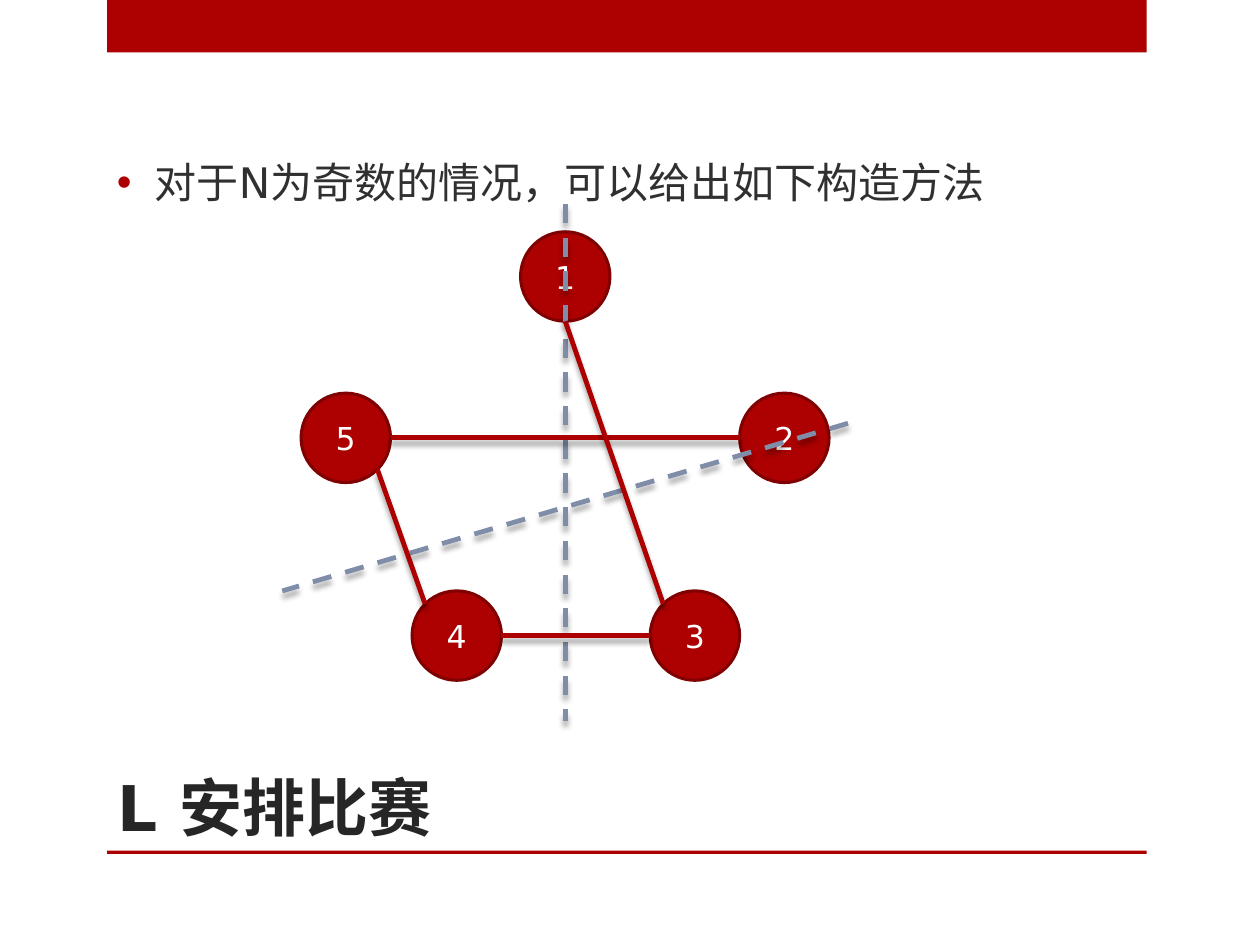
import math

import pptx
import pptx.dml.color
import pptx.enum.dml
import pptx.enum.shapes
import pptx.enum.text
import pptx.oxml
import pptx.oxml.ns
import pptx.util

Pt = pptx.util.Pt
RGBColor = pptx.dml.color.RGBColor
Align = pptx.enum.text.PP_ALIGN
Anchor = pptx.enum.text.MSO_ANCHOR
Shape = pptx.enum.shapes.MSO_SHAPE

RED = RGBColor(0xAD, 0x01, 0x01)
DARK_RED = RGBColor(0x80, 0x01, 0x01)
SLATE = RGBColor(0x80, 0x8D, 0xA9)
TITLE_INK = RGBColor(0x26, 0x26, 0x26)
BODY_INK = RGBColor(0x30, 0x30, 0x30)
WHITE = RGBColor(0xFF, 0xFF, 0xFF)

FONT = "DejaVu Sans"
TEAM_RADIUS = 25.56
TEAM_CENTERS = {
    "1": (323, 158),
    "2": (448.2, 250.2),
    "3": (397.1, 363.2),
    "4": (261, 363.2),
    "5": (197.6, 250.2),
}
MATCHES = [("5", 0, "2", 180), ("4", 0, "3", 180),
           ("1", 90, "3", 225), ("5", 45, "4", 225)]
AXES = [((323, 116.6), (323, 411.8)), ((484.6, 241.9), (161.3, 337.7))]

NS = pptx.oxml.ns.nsdecls("a")
SHADOW = (
    f'<a:effectLst {NS}><a:outerShdw blurRad="38100" dist="38100" dir="5400000" '
    'rotWithShape="0"><a:srgbClr val="000000"><a:alpha val="35000"/></a:srgbClr>'
    '</a:outerShdw></a:effectLst>'
)


def write_text(holder, text, size, color, bold=False, align=Align.LEFT,
               anchor=Anchor.MIDDLE):
    frame = holder.text_frame
    frame.word_wrap = True
    frame.auto_size = pptx.enum.text.MSO_AUTO_SIZE.NONE
    frame.vertical_anchor = anchor
    paragraph = frame.paragraphs[0]
    paragraph.alignment = align
    run = paragraph.add_run()
    run.text = text
    run.font.name = FONT
    run.font.size = Pt(size)
    run.font.bold = bold
    run.font.color.rgb = color
    return paragraph


def add_bullet(paragraph, indent):
    properties = paragraph._p.get_or_add_pPr()
    properties.set("marL", str(Pt(indent)))
    properties.set("indent", str(-Pt(indent)))
    for markup in (f'<a:buClr {NS}><a:srgbClr val="{RED}"/></a:buClr>',
                   f'<a:buFont {NS} typeface="Arial"/>',
                   f'<a:buChar {NS} char="•"/>'):
        properties.append(pptx.oxml.parse_xml(markup))


def add_filled(slide, preset, left, top, width, height):
    filled = slide.shapes.add_shape(preset, Pt(left), Pt(top), Pt(width), Pt(height))
    filled.shadow.inherit = False
    filled.fill.solid()
    filled.fill.fore_color.rgb = RED
    filled.line.fill.background()
    return filled


def add_team(slide, label, center):
    x, y = center
    team = add_filled(slide, Shape.OVAL, x - TEAM_RADIUS, y - TEAM_RADIUS,
                      2 * TEAM_RADIUS, 2 * TEAM_RADIUS)
    team.line.color.rgb = DARK_RED
    team.line.width = Pt(1.75)
    write_text(team, label, 18, WHITE, align=Align.CENTER)


def rim_point(label, degrees):
    x, y = TEAM_CENTERS[label]
    angle = math.radians(degrees)
    return x + TEAM_RADIUS * math.cos(angle), y + TEAM_RADIUS * math.sin(angle)


def add_line(slide, start, end, color, dashed=False):
    line = slide.shapes.add_connector(
        pptx.enum.shapes.MSO_CONNECTOR.STRAIGHT,
        *(Pt(value) for value in (*start, *end)))
    line.line.color.rgb = color
    line.line.width = Pt(2.75)
    if dashed:
        line.line.dash_style = pptx.enum.dml.MSO_LINE.DASH
    line._element.spPr.append(pptx.oxml.parse_xml(SHADOW))


def add_title(slide, text):
    title = slide.shapes.title
    title.left, title.top, title.width, title.height = (
        Pt(59.76), Pt(360), Pt(534.24), Pt(126))
    write_text(title, text, 36, TITLE_INK, bold=True, anchor=Anchor.BOTTOM)


def add_statement(slide, text):
    statement = slide.shapes.add_textbox(Pt(59.76), Pt(54), Pt(594), Pt(85.68))
    paragraph = write_text(statement, text, 24, BODY_INK)
    paragraph.line_spacing = 1.5
    paragraph.space_before = Pt(4.8)
    add_bullet(paragraph, 21.6)


def main():
    deck = pptx.Presentation()
    deck.slide_width, deck.slide_height = Pt(720), Pt(540)
    slide = deck.slides.add_slide(deck.slide_layouts[5])

    add_filled(slide, Shape.RECTANGLE, 61.2, 0, 594, 30)
    add_filled(slide, Shape.RECTANGLE, 61.2, 486, 594, 2)
    add_title(slide, "L 安排比赛")
    add_statement(slide, "对于N为奇数的情况，可以给出如下构造方法")

    for label, center in TEAM_CENTERS.items():
        add_team(slide, label, center)
    for start, end in AXES:
        add_line(slide, start, end, SLATE, dashed=True)
    for home, home_angle, away, away_angle in MATCHES:
        add_line(slide, rim_point(home, home_angle), rim_point(away, away_angle), RED)

    deck.save("out.pptx")


if __name__ == "__main__":
    main()
